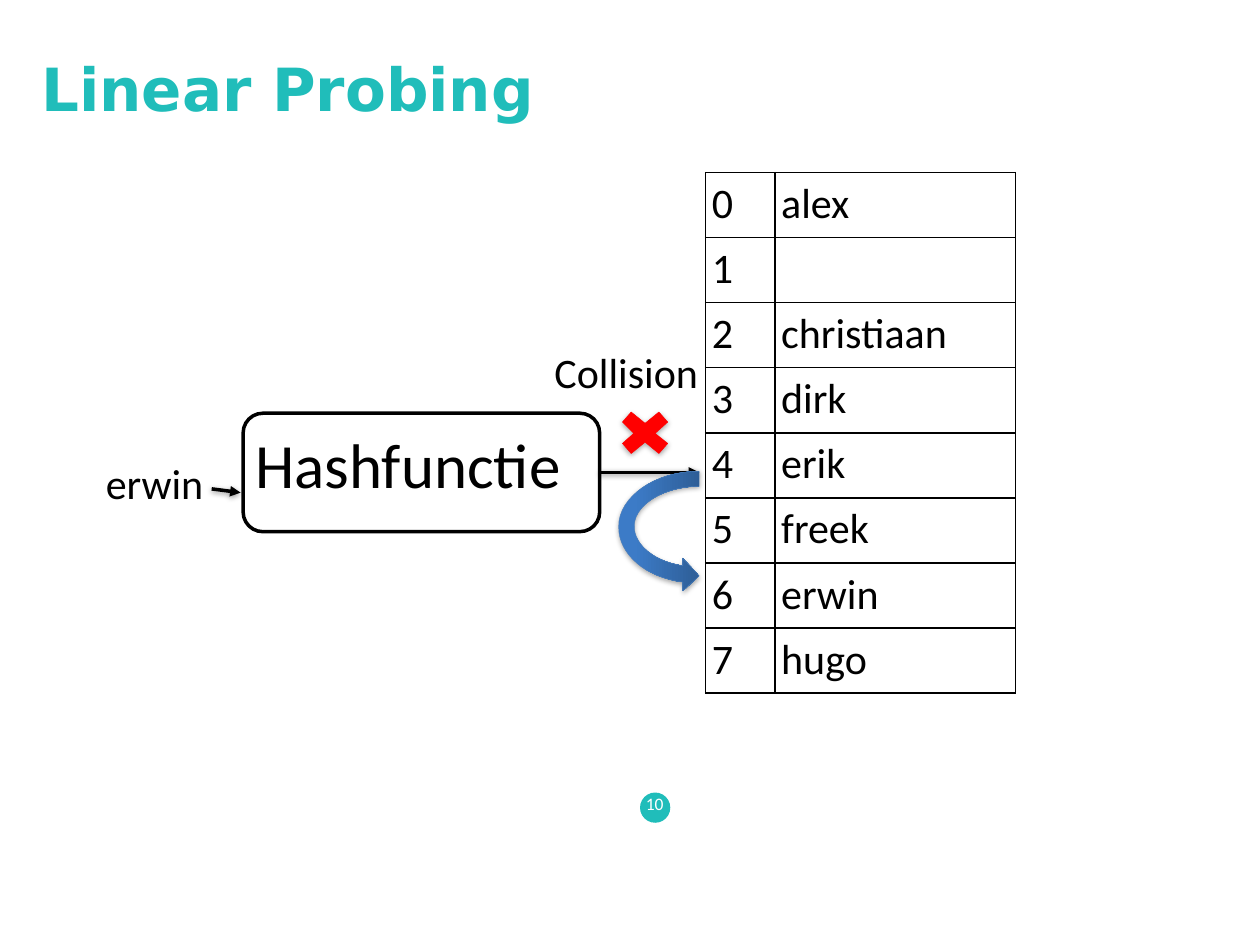
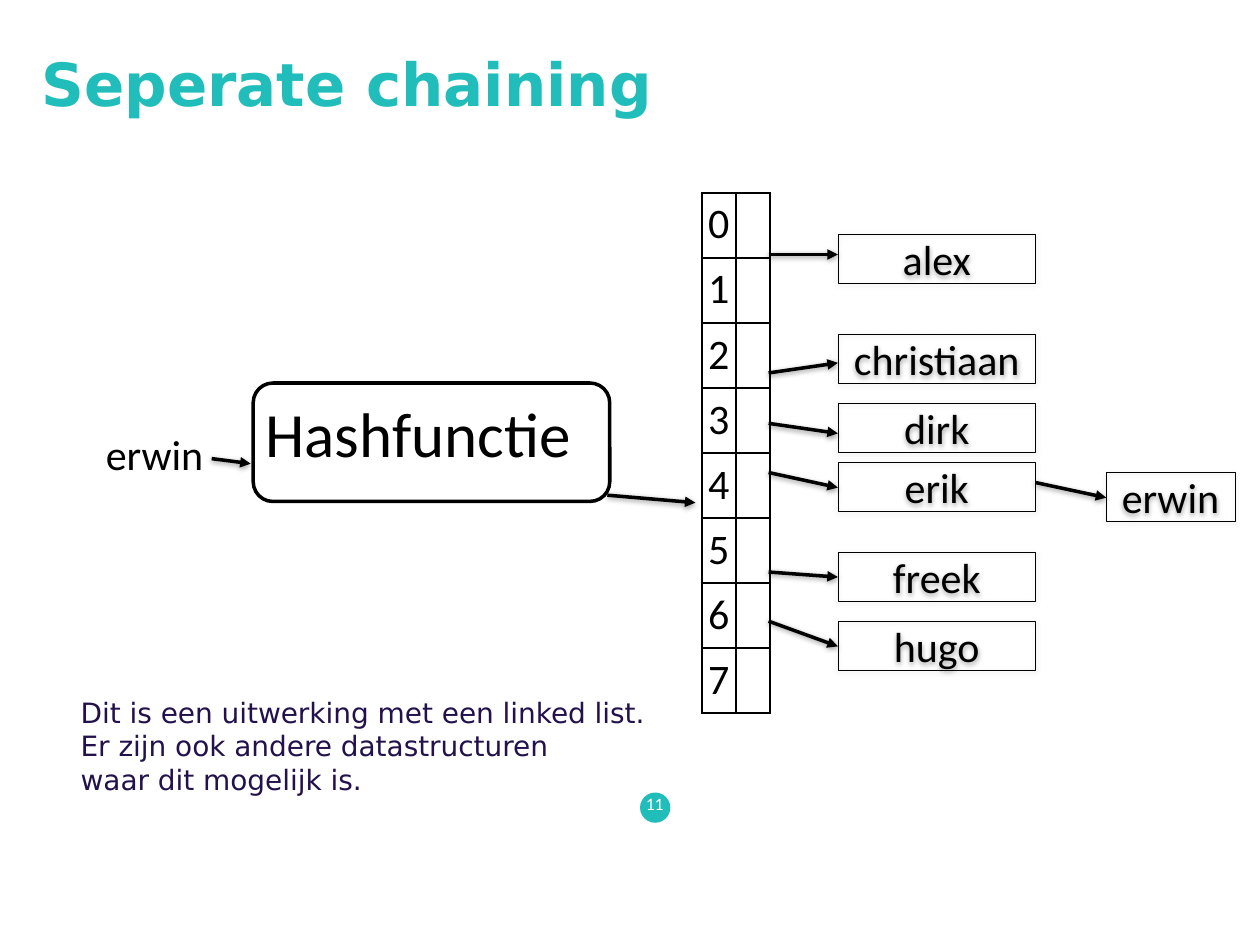
from dataclasses import dataclass
from lxml.etree import SubElement
from pptx import Presentation
from pptx.dml.color import RGBColor
from pptx.enum.shapes import MSO_CONNECTOR as CONNECTOR, MSO_SHAPE as SHAPE
from pptx.enum.text import MSO_ANCHOR as ANCHOR, PP_ALIGN as ALIGN
from pptx.oxml.ns import qn
from pptx.util import Emu, Inches, Pt


@dataclass(frozen=True)
class Theme:
    teal: str = "20BDBA"
    navy: str = "23114C"
    black: str = "000000"
    white: str = "FFFFFF"
    red: str = "FF0000"
    blue_light: str = "3C7BC7"
    blue_dark: str = "2E5E97"
    blue_line: str = "4A7EBB"
    heading_font: str = "DejaVu Sans"
    body_font: str = "Calibri"
    title_size: float = 34
    function_size: float = 36
    label_size: float = 24
    note_size: float = 16
    number_size: float = 10
    thick: float = 2
    border: float = 1
    thin: float = 0.25
    inset: float = 0.05


THEME = Theme()

PROBING = {
    "title": "Linear Probing", "title_top": 0.23, "number": "10",
    "key_top": 3.58, "function_at": (1.93, 3.28),
    "table_at": (5.6, 1.37), "columns": (0.55, 1.91),
    "rows": ["alex", "", "christiaan", "dirk", "erik", "freek", "erwin", "hugo"],
    "arrows": [((1.68, 3.88), (1.91, 3.91)), ((4.76, 3.75), (5.55, 3.75))],
}
CHAINING = {
    "title": "Seperate chaining", "title_top": 0.19, "number": "11",
    "key_top": 3.35, "function_at": (2.01, 3.04),
    "table_at": (5.57, 1.53), "columns": (0.27, 0.27),
    "rows": [""] * 8,
    "arrows": [((1.68, 3.64), (1.99, 3.68)), ((4.82, 3.93), (5.52, 3.99))],
}
NOTE = ["Dit is een uitwerking met een linked list.",
        "Er zijn ook andere datastructuren",
        "waar dit mogelijk is."]

TABLE_EDGE, CHAIN_LEFT, CHAIN_WIDTH = 6.1, 6.65, 1.57
SECOND_LEFT, SECOND_WIDTH, NODE_HEIGHT = 8.78, 1.02, 0.39
CHAIN = [
    ("alex", 1.86, 2.02, 2.02),
    ("christiaan", 2.65, 2.96, 2.88),
    ("dirk", 3.2, 3.36, 3.44),
    ("erik", 3.67, 3.75, 3.87),
    ("freek", 4.38, 4.54, 4.58),
    ("hugo", 4.93, 4.93, 5.13),
]
ROW_HEIGHT = 4.13 / 8

CROSS = [(4.94, 3.35), (5.01, 3.27), (5.12, 3.36), (5.23, 3.27),
         (5.3, 3.35), (5.2, 3.44), (5.3, 3.52), (5.23, 3.6),
         (5.12, 3.51), (5.01, 3.6), (4.94, 3.52), (5.03, 3.44)]
OUTER_CURVES = [((5.55, 3.74), (5.2, 3.74), (4.91, 3.94), (4.91, 4.18)),
                ((4.91, 4.18), (4.91, 4.4), (5.12, 4.58), (5.42, 4.62))]
ARROW_TIP = [(5.42, 4.69), (5.55, 4.57), (5.42, 4.43), (5.42, 4.49)]
INNER_CURVES = [((5.42, 4.49), (5.15, 4.45), (4.98, 4.27), (5.05, 4.1)),
                ((5.05, 4.1), (5.11, 3.96), (5.32, 3.86), (5.55, 3.86))]


def rgb(color):
    return RGBColor.from_string(color)


def write(shape, text, size=THEME.label_size, color=THEME.black, font=THEME.body_font,
          bold=False, align=ALIGN.LEFT, anchor=ANCHOR.TOP, wrap=True, vertical_inset=THEME.inset):
    frame = shape.text_frame
    frame.word_wrap = wrap
    frame.vertical_anchor = anchor
    frame.margin_left = frame.margin_right = Inches(THEME.inset)
    frame.margin_top = frame.margin_bottom = Inches(vertical_inset)
    frame.text = text
    for paragraph in frame.paragraphs:
        paragraph.alignment = align
        paragraph.font.size = Pt(size)
        paragraph.font.name = font
        paragraph.font.bold = bold
        paragraph.font.color.rgb = rgb(color)


def add_text(slide, text, box, **style):
    write(slide.shapes.add_textbox(*map(Inches, box)), text, **style)


def style_shape(shape, fill=None, line=None, width=THEME.thin):
    shape.shadow.inherit = False
    if fill:
        shape.fill.solid()
        shape.fill.fore_color.rgb = rgb(fill)
    else:
        shape.fill.background()
    if line:
        shape.line.color.rgb = rgb(line)
        shape.line.width = Pt(width)
    else:
        shape.line.fill.background()


def add_shadow(properties, opacity):
    effects = properties.find(qn("a:effectLst"))
    if effects is None:
        effects = SubElement(properties, qn("a:effectLst"))
    shadow = SubElement(effects, qn("a:outerShdw"), blurRad=str(Pt(3)), dist=str(Pt(1)),
                        dir="5400000", rotWithShape="0")
    color = SubElement(shadow, qn("a:srgbClr"), val=THEME.black)
    SubElement(color, qn("a:alpha"), val=str(opacity * 1000))


def add_arrow(slide, start, end):
    arrow = slide.shapes.add_connector(CONNECTOR.STRAIGHT, *map(Inches, start + end))
    arrow.line.color.rgb = rgb(THEME.black)
    arrow.line.width = Pt(THEME.thick)
    SubElement(arrow.line._get_or_add_ln(), qn("a:tailEnd"), type="triangle")
    add_shadow(arrow._element.spPr, 38)


def add_outline(slide, points, fill, line):
    start, *others = [tuple(map(Inches, point)) for point in points]
    builder = slide.shapes.build_freeform(*start)
    builder.add_line_segments(others, close=True)
    shape = builder.convert_to_shape()
    style_shape(shape, fill, line)
    add_shadow(shape._element.spPr, 35)
    return shape


def curve_points(curve, steps=16):
    points = []
    for step in range(steps + 1):
        t = step / steps
        weights = ((1 - t) ** 3, 3 * t * (1 - t) ** 2, 3 * t ** 2 * (1 - t), t ** 3)
        points.append(tuple(sum(w * point[axis] for w, point in zip(weights, curve))
                            for axis in (0, 1)))
    return points


def add_node(slide, name, left, top, width):
    node = slide.shapes.add_shape(SHAPE.RECTANGLE, *map(Inches, (left, top, width, NODE_HEIGHT)))
    style_shape(node, line=THEME.black)
    add_shadow(node._element.spPr, 35)
    write(node, name, align=ALIGN.CENTER, anchor=ANCHOR.MIDDLE, vertical_inset=0)


def add_borders(cell):
    properties = cell._tc.get_or_add_tcPr()
    for index, side in enumerate(("lnL", "lnR", "lnT", "lnB")):
        line = properties.makeelement(qn(f"a:{side}"), {"w": str(Pt(THEME.border))})
        properties.insert(index, line)
        SubElement(SubElement(line, qn("a:solidFill")), qn("a:srgbClr"), val=THEME.black)


def add_hash_table(slide, position, columns, names):
    box = (*position, sum(columns), ROW_HEIGHT * len(names))
    table = slide.shapes.add_table(len(names), len(columns), *map(Inches, box)).table
    table.first_row = table.horz_banding = False
    for column, width in zip(table.columns, columns):
        column.width = Inches(width)
    for index, name in enumerate(names):
        table.rows[index].height = Inches(ROW_HEIGHT)
        for cell, text in zip(table.rows[index].cells, (str(index), name)):
            cell.margin_left = cell.margin_right = Inches(THEME.inset)
            cell.margin_top = cell.margin_bottom = Inches(THEME.inset)
            cell.fill.background()
            add_borders(cell)
            cell.text = text
            font = cell.text_frame.paragraphs[0].font
            font.size, font.name = Pt(THEME.label_size), THEME.body_font
            font.color.rgb = rgb(THEME.black)


def add_hash_slide(presentation, content):
    slide = presentation.slides.add_slide(presentation.slide_layouts[5])
    title = slide.shapes.title
    title.left, title.top, title.width, title.height = map(
        Inches, (0.28, content["title_top"], 9, 0.94))
    write(title, content["title"], size=THEME.title_size, color=THEME.teal,
          font=THEME.heading_font, bold=True, anchor=ANCHOR.MIDDLE)

    badge = slide.shapes.add_shape(SHAPE.OVAL, *map(Inches, (5.08, 6.29, 0.24, 0.24)))
    style_shape(badge, fill=THEME.teal)
    add_text(slide, content["number"], (5.07, 6.24, 0.25, 0.28), size=THEME.number_size,
             color=THEME.white, align=ALIGN.CENTER, anchor=ANCHOR.MIDDLE, wrap=False)

    add_hash_table(slide, content["table_at"], content["columns"], content["rows"])
    function = slide.shapes.add_shape(
        SHAPE.ROUNDED_RECTANGLE, *map(Inches, (*content["function_at"], 2.83, 0.94)))
    style_shape(function, THEME.white, THEME.black, THEME.thick)
    write(function, "Hashfunctie", size=THEME.function_size)
    add_text(slide, "erwin", (0.79, content["key_top"], 0.89, 0.5), wrap=False)
    for start, end in content["arrows"]:
        add_arrow(slide, start, end)
    return slide


def add_collision(slide):
    add_outline(slide, CROSS, THEME.red, THEME.red)
    add_text(slide, "Collision", (4.35, 2.7, 1.25, 0.5), wrap=False)
    outer = [point for curve in OUTER_CURVES for point in curve_points(curve)]
    inner = [point for curve in INNER_CURVES for point in curve_points(curve)]
    probe = add_outline(slide, outer + ARROW_TIP + inner, THEME.blue_light, THEME.blue_line)
    probe.fill.gradient()
    probe.fill.gradient_angle = 0
    stops = ((0.2, THEME.blue_light), (1, THEME.blue_dark))
    for stop, (position, color) in zip(probe.fill.gradient_stops, stops):
        stop.position = position
        stop.color.rgb = rgb(color)


def add_chains(slide):
    add_text(slide, "\n".join(NOTE), (0.59, 5.47, 4.73, 0.91), size=THEME.note_size,
             color=THEME.navy, font=THEME.heading_font)
    for name, top, start_y, end_y in CHAIN:
        add_node(slide, name, CHAIN_LEFT, top, CHAIN_WIDTH)
        add_arrow(slide, (TABLE_EDGE, start_y), (CHAIN_LEFT, end_y))
    add_node(slide, "erwin", SECOND_LEFT, 3.75, SECOND_WIDTH)
    add_arrow(slide, (CHAIN_LEFT + CHAIN_WIDTH, 3.83), (SECOND_LEFT, 3.95))


def main():
    presentation = Presentation()
    presentation.slide_width, presentation.slide_height = Inches(10), Inches(7.5)
    add_collision(add_hash_slide(presentation, PROBING))
    add_chains(add_hash_slide(presentation, CHAINING))
    presentation.save("out.pptx")


if __name__ == "__main__":
    main()
